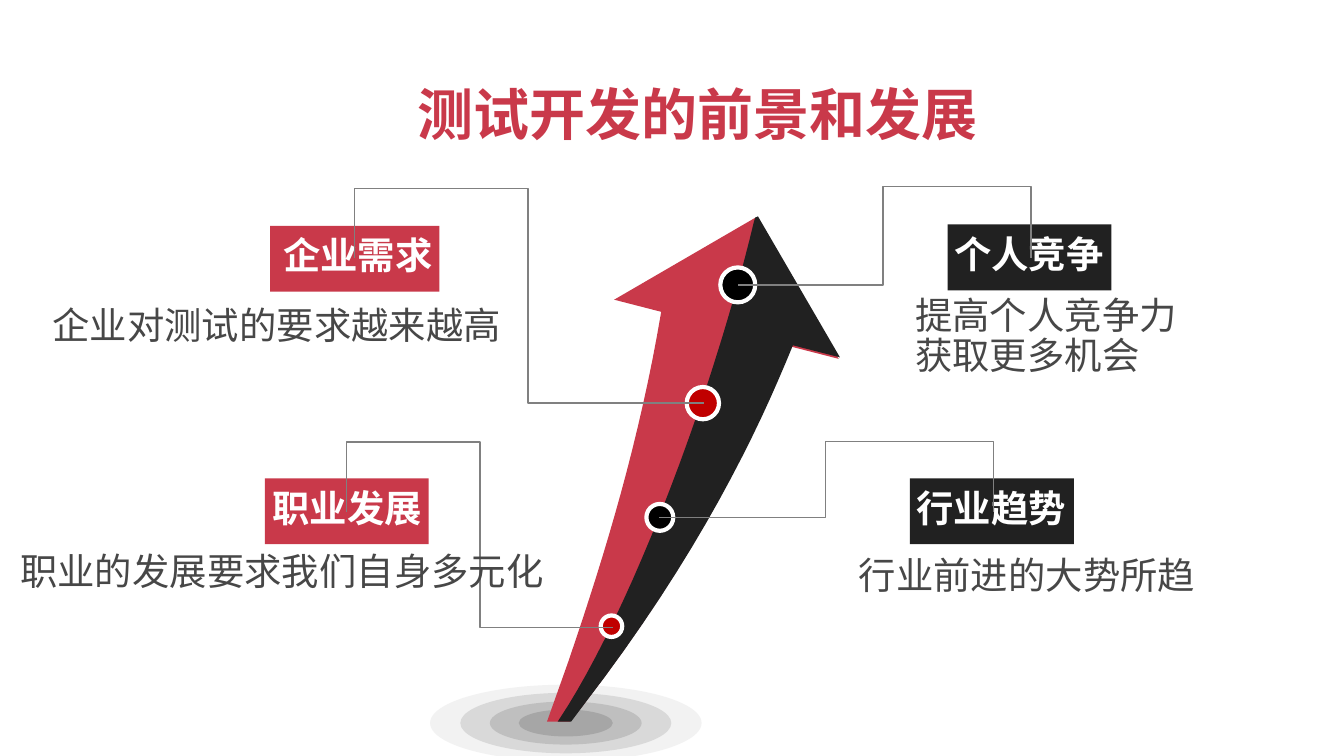
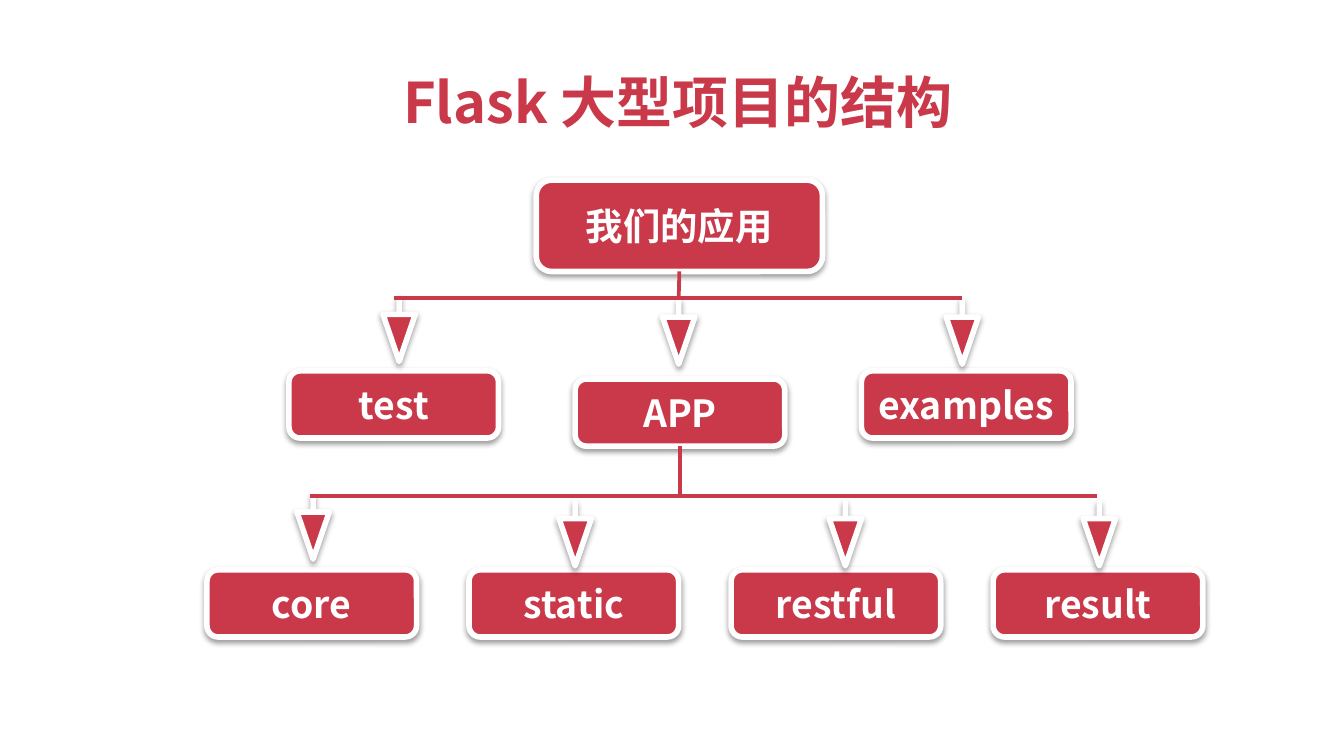
from dataclasses import dataclass

from lxml import etree
from pptx import Presentation
from pptx import util as u
from pptx.dml.color import RGBColor
from pptx.enum import shapes, text
from pptx.oxml.ns import qn


@dataclass(frozen=True)
class Theme:
    font: str = "Noto Sans CJK SC"
    red: str = "C9394A"
    dark: str = "212121"
    body: str = "474747"
    white: str = "FFFFFF"
    black: str = "000000"
    dot_red: str = "C00000"
    wire: str = "808080"
    ripples: tuple = ("F2F2F2", "D9D9D9", "BFBFBF", "A6A6A6")
    title_size: int = 30
    text_size: int = 20


THEME = Theme()
PRESET = shapes.MSO_SHAPE
LEFT, CENTER, RIGHT = text.PP_ALIGN.LEFT, text.PP_ALIGN.CENTER, text.PP_ALIGN.RIGHT
TITLE = {"size": u.Pt(THEME.title_size), "bold": True, "color": THEME.red}
LABEL = {"size": u.Pt(THEME.text_size), "bold": True, "color": THEME.white}
BODY = {"size": u.Pt(THEME.text_size), "bold": False, "color": THEME.body}


def inches(*lengths):
    return [u.Inches(length) for length in lengths]


def apply(target, values):
    for attribute, value in values.items():
        setattr(target, attribute, value)


def write(holder, lines, style, align=LEFT, wrap=True, grow=True, middle=False, spacing=None):
    frame = holder.text_frame
    margins = ("margin_left", "margin_top", "margin_right", "margin_bottom")
    apply(frame, dict.fromkeys(margins, u.Inches(0.05)))
    apply(frame, {
        "word_wrap": wrap,
        "auto_size": text.MSO_AUTO_SIZE.SHAPE_TO_FIT_TEXT if grow else text.MSO_AUTO_SIZE.NONE,
        "vertical_anchor": text.MSO_ANCHOR.MIDDLE if middle else text.MSO_ANCHOR.TOP,
    })
    for index, line in enumerate(lines):
        paragraph = frame.add_paragraph() if index else frame.paragraphs[0]
        apply(paragraph, {"alignment": align, "line_spacing": spacing})
        run = paragraph.add_run()
        run.text = line
        apply(run.font, {"size": style["size"], "bold": style["bold"], "name": THEME.font})
        run.font.color.rgb = RGBColor.from_string(style["color"])
        etree.SubElement(run.font._element, qn("a:ea"), typeface=THEME.font)


def paint(shape, fill, outline=None, width=0):
    shape.shadow.inherit = False
    shape.fill.solid()
    shape.fill.fore_color.rgb = RGBColor.from_string(fill)
    if outline:
        stroke(shape.line, outline, width)
    else:
        shape.line.fill.background()


def stroke(line, color, width):
    line.width = u.Pt(width)
    line.color.rgb = RGBColor.from_string(color)


def drop_shadow(shape):
    effects = shape._element.spPr.find(qn("a:effectLst"))
    shadow = etree.SubElement(effects, qn("a:outerShdw"), blurRad=str(u.Pt(3)),
                              dist=str(u.Pt(1.6)), dir="5400000", rotWithShape="0")
    color = etree.SubElement(shadow, qn("a:srgbClr"), val=THEME.black)
    etree.SubElement(color, qn("a:alpha"), val="38000")


def add_text(slide, at, lines, style, **layout):
    write(slide.shapes.add_textbox(*inches(*at)), lines, style, **layout)


def add_label(slide, at, caption, fill, align):
    label = slide.shapes.add_shape(PRESET.RECTANGLE, *inches(*at))
    paint(label, fill)
    write(label, [caption], LABEL, align=align, wrap=False)


def add_oval(slide, center, width, height, fill, outline=None):
    x, y = center
    oval = slide.shapes.add_shape(
        PRESET.OVAL, *inches(x - width / 2, y - height / 2, width, height))
    paint(oval, fill, outline, 2.25)


def add_outline(slide, points, fill, outline=None, width=0):
    start, *rest = [inches(*point) for point in points]
    builder = slide.shapes.build_freeform(*start)
    builder.add_line_segments(rest, close=True)
    shape = builder.convert_to_shape()
    paint(shape, fill, outline, width)
    return shape


def curve(start, pull, push, end, steps=16):
    points = []
    for step in range(1, steps + 1):
        t = step / steps
        weights = ((1 - t) ** 3, 3 * t * (1 - t) ** 2, 3 * t * t * (1 - t), t ** 3)
        points.append(tuple(
            sum(weight * point[axis] for weight, point in zip(weights, (start, pull, push, end)))
            for axis in (0, 1)))
    return points


def clear_effects(connector):
    etree.SubElement(connector._element.spPr, qn("a:effectLst"))


def add_wire(slide, start, turn, end):
    (x1, y1), (x2, y2) = start, end
    across, down = abs(x2 - x1), y2 - y1
    left, top = (x1 + x2 - down) / 2, (y1 + y2 - across) / 2
    wire = slide.shapes.add_connector(
        shapes.MSO_CONNECTOR.ELBOW, *inches(left, top, left + down, top + across))
    properties = wire._element.spPr
    frame = properties.find(qn("a:xfrm"))
    if x2 > x1:
        frame.set("rot", "16200000")
        frame.set("flipH", "1")
    else:
        frame.set("rot", "5400000")
    geometry = properties.find(qn("a:prstGeom"))
    geometry.set("prst", "bentConnector4")
    bends = geometry.find(qn("a:avLst"))
    ratios = ((turn[1] - y1) / down, (turn[0] - x1) / (x2 - x1))
    for number, ratio in enumerate(ratios, 1):
        etree.SubElement(bends, qn("a:gd"), name=f"adj{number}",
                         fmla=f"val {round(ratio * 100000)}")
    stroke(wire.line, THEME.wire, 0.75)
    clear_effects(wire)


def add_line(slide, start, end, parent=None):
    line = slide.shapes.add_connector(
        shapes.MSO_CONNECTOR.STRAIGHT, *inches(*start, *end))
    if parent is not None:
        line.begin_connect(parent, 2)
    stroke(line.line, THEME.red, 2)
    clear_effects(line)


def add_node(slide, at, caption):
    node = slide.shapes.add_shape(PRESET.ROUNDED_RECTANGLE, *inches(*at))
    node.adjustments[0] = 0.167
    paint(node, THEME.red, THEME.white, 3)
    drop_shadow(node)
    write(node, [caption], LABEL, align=CENTER, grow=False, middle=True)
    return node


def add_pointer(slide, x, top):
    neck = top + 0.12
    points = [(x - 0.12, neck), (x, neck), (x, top), (x, neck), (x + 0.12, neck), (x, top + 0.47)]
    drop_shadow(add_outline(slide, points, THEME.red, THEME.white, 3))


def add_rising_arrow(slide):
    for width, height, fill in zip((2.02, 1.57, 1.13, 0.7), (0.57, 0.45, 0.32, 0.2),
                                   THEME.ripples):
        add_oval(slide, (4.21, 5.38), width, height, fill)
    red_half = [
        (5.62, 1.62), (6.24, 2.67), (5.89, 2.58),
        *curve((5.89, 2.58), (5.63, 3.21), (5.2, 4.13), (4.33, 5.26)),
        (4.24, 5.37), (4.07, 5.37), (4.23, 4.92),
        *curve((4.23, 4.92), (4.51, 4.1), (4.76, 3.27), (4.92, 2.32)),
        (4.57, 2.23),
    ]
    dark_half = [
        (5.64, 1.61), (6.25, 2.66), (5.9, 2.57),
        *curve((5.9, 2.57), (5.64, 3.21), (5.21, 4.12), (4.34, 5.25)),
        (4.25, 5.37), (4.15, 5.37), (4.17, 5.34),
        *curve((4.17, 5.34), (4.5, 4.84), (4.91, 3.93), (5.26, 2.87)),
        *curve((5.26, 2.87), (5.4, 2.44), (5.52, 2.03), (5.61, 1.65)),
        (5.62, 1.62),
    ]
    add_outline(slide, red_half, THEME.red)
    add_outline(slide, dark_half, THEME.dark)


def build_prospects(slide):
    add_text(slide, (3.06, 0.54, 4.28, 0.68), ["测试开发的前景和发展"], TITLE, wrap=False)
    for at, caption, fill, align in (
        ((2.01, 1.68, 1.26, 0.49), "企业需求", THEME.red, RIGHT),
        ((1.97, 3.56, 1.22, 0.49), "职业发展", THEME.red, RIGHT),
        ((7.05, 1.67, 1.22, 0.49), "个人竞争", THEME.dark, LEFT),
        ((6.77, 3.56, 1.22, 0.49), "行业趋势", THEME.dark, LEFT),
    ):
        add_label(slide, at, caption, fill, align)
    add_rising_arrow(slide)
    for center, size, fill in (
        ((5.49, 2.12), 0.26, THEME.black),
        ((5.23, 3.0), 0.24, THEME.dot_red),
        ((4.91, 3.85), 0.2, THEME.black),
        ((4.55, 4.66), 0.16, THEME.dot_red),
    ):
        add_oval(slide, center, size, size, fill, THEME.white)
    for start, turn, end in (
        ((7.39, 3.81), (6.14, 3.29), (4.9, 3.85)),
        ((7.67, 1.92), (6.57, 1.39), (5.49, 2.12)),
        ((2.58, 3.81), (3.57, 3.29), (4.56, 4.67)),
        ((2.64, 1.92), (3.93, 1.4), (5.24, 3.0)),
    ):
        add_wire(slide, start, turn, end)
    for at, lines, wrap in (
        ((0.34, 2.24, 3.45, 0.49), ["企业对测试的要求越来越高"], False),
        ((0.1, 4.07, 4.0, 0.49), ["职业的发展要求我们自身多元化"], False),
        ((6.76, 2.16, 3.23, 0.84), ["提高个人竞争力", "获取更多机会"], True),
        ((6.34, 4.1, 2.68, 0.49), ["行业前进的大势所趋"], False),
    ):
        add_text(slide, at, lines, BODY, wrap=wrap, spacing=0.9)


def build_structure(slide):
    add_text(slide, (2.95, 0.45, 4.21, 0.68), ["Flask 大型项目的结构"], TITLE, wrap=False)
    node_size = (1.56, 0.5)
    root = add_node(slide, (3.99, 1.34, 2.13, 0.68), "我们的应用")
    add_node(slide, (2.15, 2.76, *node_size), "test")
    app = add_node(slide, (4.28, 2.82, *node_size), "APP")
    add_node(slide, (6.41, 2.76, *node_size), "examples")
    for column, module in enumerate(("core", "static", "restful", "result")):
        add_node(slide, (1.54 + 1.95 * column, 4.24, *node_size), module)
    for x, top in ((2.97, 2.22), (5.05, 2.24), (7.16, 2.24),
                   (2.33, 3.69), (4.28, 3.74), (6.29, 3.74), (8.18, 3.74)):
        add_pointer(slide, x, top)
    add_line(slide, (5.06, 3.32), (5.06, 3.69), app)
    add_line(slide, (2.31, 3.69), (8.16, 3.69))
    add_line(slide, (2.93, 2.22), (7.16, 2.22))
    add_line(slide, (5.05, 2.02), (5.05, 2.21), root)


def main():
    deck = Presentation()
    apply(deck, {"slide_width": u.Inches(10), "slide_height": u.Inches(10 * 9 / 16)})
    for build in (build_prospects, build_structure):
        build(deck.slides.add_slide(deck.slide_layouts[6]))
    deck.save("out.pptx")


if __name__ == "__main__":
    main()
